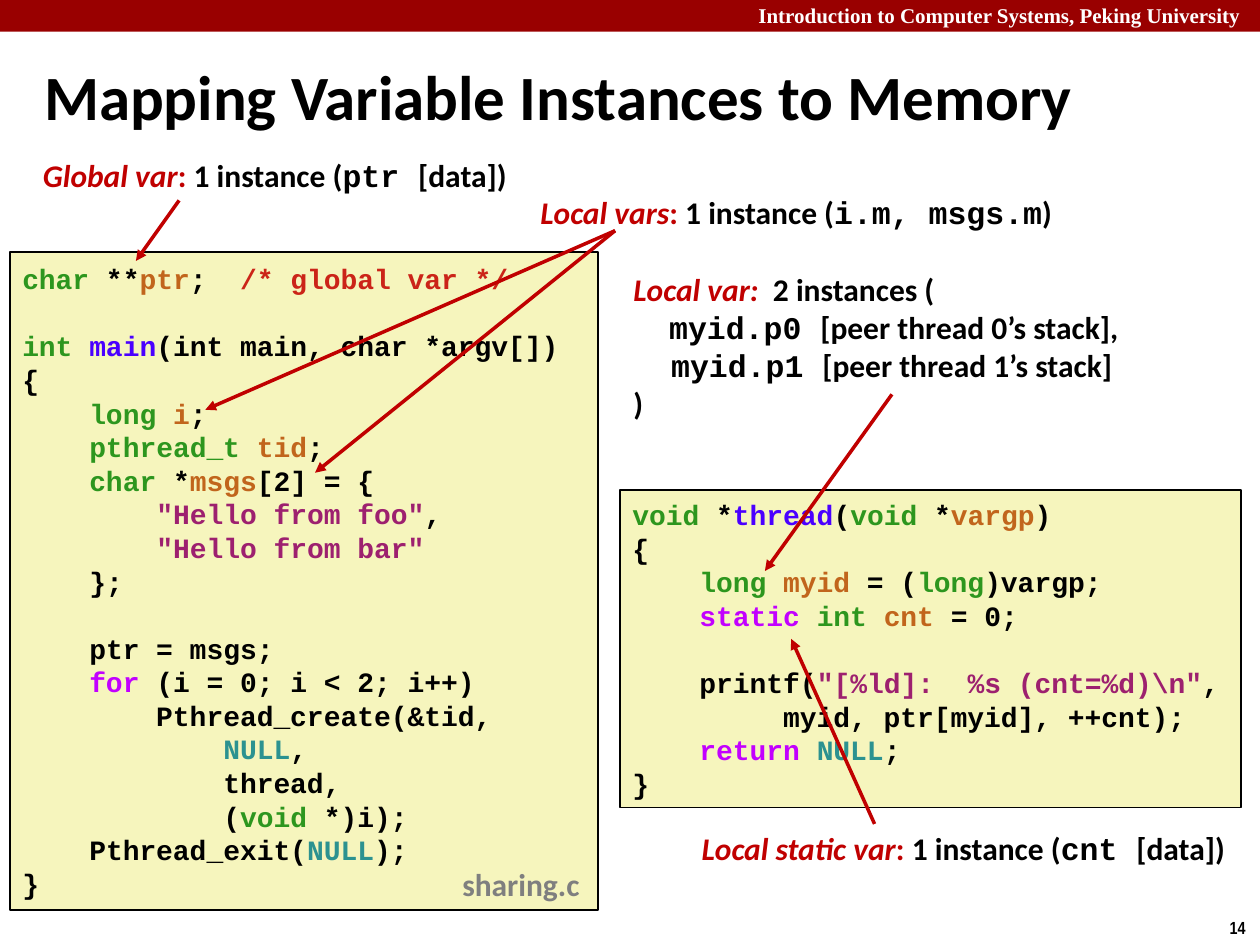
from lxml import etree
from pptx import Presentation
from pptx import util as u
from pptx.dml.color import RGBColor
from pptx.enum import shapes, text
from pptx.oxml.ns import qn

BLACK = RGBColor(0x00, 0x00, 0x00)
WHITE = RGBColor(0xFF, 0xFF, 0xFF)
GRAY = RGBColor(0x7F, 0x7F, 0x7F)
BAR = RGBColor(0x99, 0x00, 0x00)
ACCENT = RGBColor(0xC0, 0x00, 0x00)
PAPER = RGBColor(0xF6, 0xF5, 0xBD)
TYPE = RGBColor(0x2D, 0x96, 0x1E)
VARIABLE = RGBColor(0xC1, 0x65, 0x1C)
FUNCTION = RGBColor(0x4A, 0x00, 0xFF)
STRING = RGBColor(0x9D, 0x20, 0x6F)
KEYWORD = RGBColor(0xC2, 0x00, 0xFF)
CONSTANT = RGBColor(0x2C, 0x92, 0x90)
COMMENT = RGBColor(0xCB, 0x24, 0x18)
BODY, MONO = "Calibri", "Courier New"

# Each line is a list of runs; a run is plain text or (text, format).
MAIN_CODE = [
    [("char", TYPE), " **", ("ptr", VARIABLE), ";  ", ("/* global var */", COMMENT)],
    [],
    [("int ", TYPE), ("main", FUNCTION), "(int main, char *argv[])"],
    ["{"],
    ["    ", ("long ", TYPE), ("i", VARIABLE), ";"],
    ["    ", ("pthread_t ", TYPE), ("tid", VARIABLE), ";"],
    ["    ", ("char", TYPE), " *", ("msgs", VARIABLE), "[2] = {"],
    ["        ", ('"Hello from foo"', STRING), ","],
    ["        ", ('"Hello from bar"', STRING)],
    ["    };"],
    [],
    ["    ptr = msgs;"],
    ["    ", ("for", KEYWORD), " (i = 0; i < 2; i++)"],
    ["        Pthread_create(&tid,"],
    ["            ", ("NULL", CONSTANT), ","],
    ["            thread,"],
    ["            (", ("void", TYPE), " *)i);"],
    ["    Pthread_exit(", ("NULL", CONSTANT), ");"],
    ["}"],
]
THREAD_CODE = [
    [("void", TYPE), " *", ("thread", FUNCTION), "(", ("void", TYPE), " *",
     ("vargp", VARIABLE), ")"],
    ["{"],
    ["    ", ("long ", TYPE), ("myid", VARIABLE), " = (", ("long", TYPE), ")vargp;"],
    ["    ", ("static ", KEYWORD), ("int ", TYPE), ("cnt", VARIABLE), " = 0;"],
    [],
    ["    printf(", (r'"[%ld]:  %s (cnt=%d)\n"', STRING), ","],
    ["         myid, ptr[myid], ++cnt);"],
    ["    ", ("return ", KEYWORD), ("NULL", CONSTANT), ";"],
    ["}"],
]
CODE_PANELS = [
    ((0.2, 5.08, 11.86, 13.26), MAIN_CODE),
    ((12.5, 9.88, 12.52, 6.4), THREAD_CODE),
]

# Box, variable kind, names in code font, closing words.
INSTANCE_LABELS = [
    ((0.56, 3.15, 9.96, 0.76), "Global var", "ptr ", "[data])"),
    ((13.82, 16.71, 11.2, 0.76), "Local static var", "cnt ", "[data])"),
    ((10.59, 3.89, 10.92, 0.76), "Local vars", "i.m, msgs.m", ")"),
]
THREAD_LABEL_BOX = (12.52, 5.44, 10.74, 3.07)
THREAD_LABEL = [
    [("Local var:  ", {"color": ACCENT, "italic": True}), "2 instances ("],
    [("myid.p0 ", {"font": MONO}), "[peer thread 0’s stack],"],
    [("myid.p1 ", {"font": MONO}), "[peer thread 1’s stack]"],
    [")"],
]
LOCALS_START = (12.4, 4.65)
ARROWS = [
    ((3.61, 4.04), (2.74, 5.26)),
    ((17.63, 16.61), (15.95, 12.88)),
    (LOCALS_START, (4.14, 8.26)),
    ((17.98, 7.95), (15.42, 11.51)),
    (LOCALS_START, (6.35, 9.53)),
]


def lengths(values):
    """Turn centimetre numbers into lengths."""
    return [u.Cm(value) for value in values]


def write(shape, lines, size=18, font=BODY, color=BLACK, bold=True, align=None,
          middle=False, wrap=False, inset=0.13, spacing=None, indents=()):
    """Fill a shape with lines of runs; indents gives left margins by line."""
    frame = shape.text_frame
    frame.word_wrap = wrap
    frame.margin_top = frame.margin_bottom = u.Cm(inset)
    anchor = text.MSO_ANCHOR
    frame.vertical_anchor = anchor.MIDDLE if middle else anchor.TOP
    for index, line in enumerate(lines):
        paragraph = frame.paragraphs[0] if index == 0 else frame.add_paragraph()
        paragraph.alignment = align or text.PP_ALIGN.LEFT
        paragraph.line_spacing = spacing
        paragraph.font.size = u.Pt(size)
        if index < len(indents):
            paragraph._p.get_or_add_pPr().set("marL", str(u.Cm(indents[index])))
        for part in line:
            words, style = (part, {}) if isinstance(part, str) else part
            if isinstance(style, RGBColor):
                style = {"color": style}
            run = paragraph.add_run()
            run.text = words
            run.font.name = style.get("font", font)
            run.font.size = u.Pt(size)
            run.font.bold = bold
            run.font.italic = style.get("italic", False)
            run.font.color.rgb = style.get("color", color)


def add_text(slide, box, lines, **style):
    """Add a text box holding the given lines."""
    write(slide.shapes.add_textbox(*lengths(box)), lines, **style)


def add_panel(slide, box, fill, outline=None):
    """Add a flat rectangle."""
    panel = slide.shapes.add_shape(shapes.MSO_SHAPE.RECTANGLE, *lengths(box))
    panel.shadow.inherit = False
    panel.fill.solid()
    panel.fill.fore_color.rgb = fill
    if outline is None:
        panel.line.fill.background()
    else:
        panel.line.color.rgb = outline
        panel.line.width = u.Pt(1)
    return panel


def add_arrow(slide, start, end):
    """Draw an arrow from a label to a line of code."""
    arrow = slide.shapes.add_connector(
        shapes.MSO_CONNECTOR.STRAIGHT, *lengths(start + end))
    arrow.line.color.rgb = ACCENT
    arrow.line.width = u.Pt(2)
    etree.SubElement(arrow.line._get_or_add_ln(), qn("a:tailEnd"), type="triangle")
    etree.SubElement(arrow._element.spPr, qn("a:effectLst"))


def build():
    """Build and save the slide."""
    presentation = Presentation()
    presentation.slide_width, presentation.slide_height = lengths((25.4, 19.05))
    slide = presentation.slides.add_slide(presentation.slide_layouts[6])

    add_panel(slide, (0, 0, 25.4, 0.64), BAR)
    add_text(slide, (15.04, -0.08, 10.54, 0.76),
             [["Introduction to Computer Systems, Peking University"]],
             size=12, font="Times New Roman", color=WHITE, wrap=True)
    add_text(slide, (24.54, 18.36, 0.86, 0.69), [["14"]], size=10,
             font="Arial Narrow")
    add_text(slide, (0.64, 0.84, 24.92, 2.16),
             [["Mapping Variable Instances to Memory"]],
             size=36, middle=True, wrap=True)

    for box, code in CODE_PANELS:
        write(add_panel(slide, box, PAPER, BLACK), code, size=16, font=MONO,
              middle=True, wrap=True, spacing=u.Pt(19.2))
    for box, kind, names, ending in INSTANCE_LABELS:
        runs = [(kind, {"color": ACCENT, "italic": True}), (": ", ACCENT),
                "1 instance (", (names, {"font": MONO}), ending]
        add_text(slide, box, [runs], align=text.PP_ALIGN.CENTER, middle=True, inset=0)
    add_text(slide, THREAD_LABEL_BOX, THREAD_LABEL, middle=True, wrap=True,
             inset=0, indents=(0, 0.72, 0.76, 0))
    for start, end in ARROWS:
        add_arrow(slide, start, end)
    add_text(slide, (9.07, 17.3, 2.9, 1.02), [["sharing.c"]], color=GRAY)

    presentation.save("out.pptx")


build()
